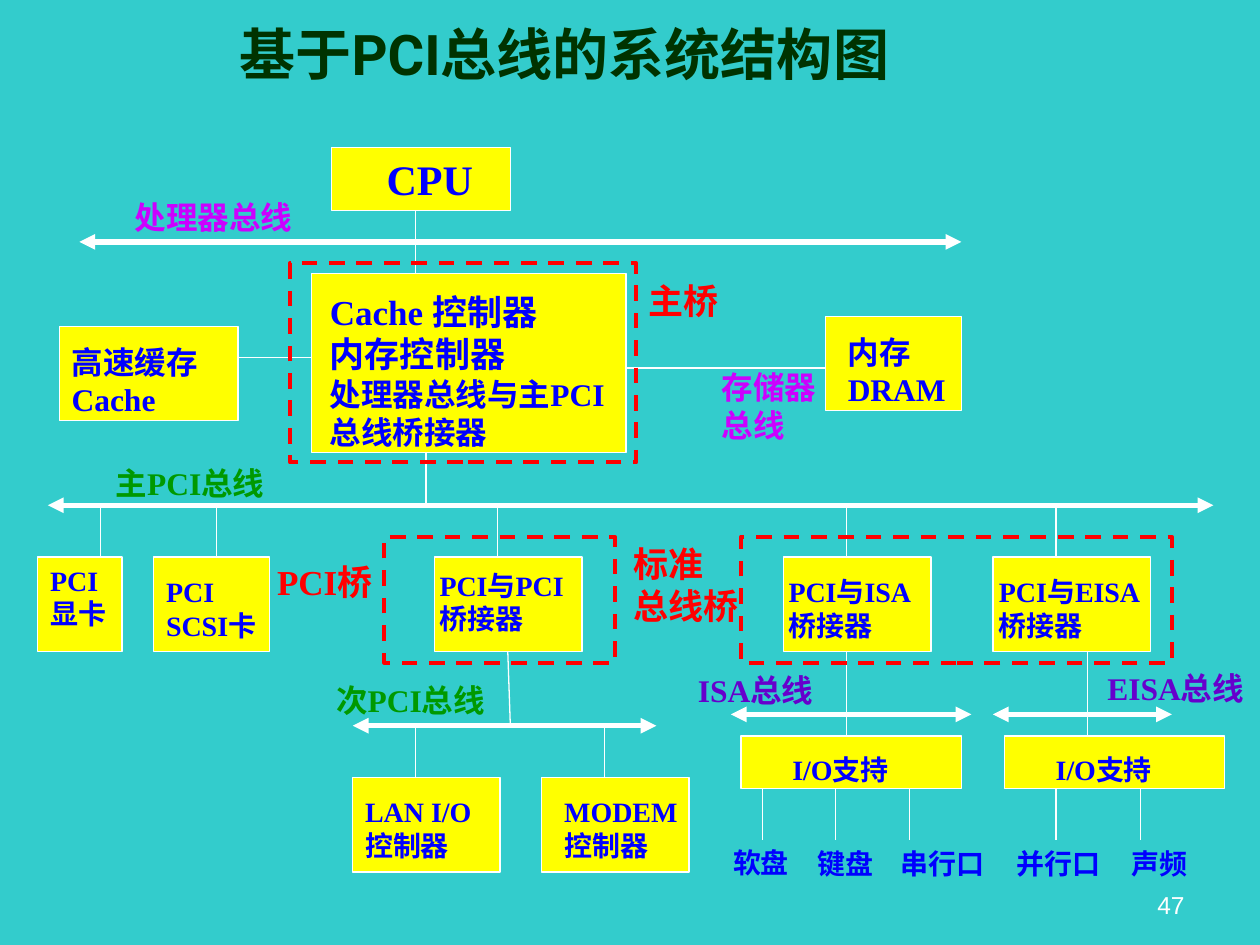
from dataclasses import dataclass
from itertools import cycle

from pptx import Presentation
from pptx.dml.color import RGBColor
from pptx.enum.dml import MSO_LINE_DASH_STYLE as Dash
from pptx.enum.shapes import MSO_CONNECTOR as Connector, MSO_SHAPE as Shape
from pptx.enum.text import MSO_ANCHOR as Anchor, MSO_AUTO_SIZE as AutoSize, PP_ALIGN as Align
from pptx.oxml.ns import qn
from pptx.util import Inches, Pt

WHITE, YELLOW, RED, BLUE = "FFFFFF", "FFFF00", "FF0000", "0000FF"
MAGENTA, GREEN, PURPLE, DARK_GREEN = "CC00FF", "009900", "6600CC", "003300"
TEAL = "33CCCC"
SERIF = "Times New Roman"
PROCESSOR_BUS, PCI_BUS, SECOND_BUS, IO_BUS = 1.92, 4.01, 5.76, 5.67
CARD_TOP, CARD_BOTTOM = 4.42, 5.17
IO_TOP, IO_BOTTOM = 5.84, 6.26


@dataclass
class Box:
    x: float
    y: float
    w: float
    h: float


@dataclass
class Label:
    x: float
    y: float
    w: float
    text: str
    sizes: tuple[int, ...] = (16,)
    color: str = BLUE

    @property
    def height(self) -> float:
        lines = self.text.split("\n")
        return 0.1 + sum(1.2 * size / 72 for _, size in zip(lines, cycle(self.sizes)))


@dataclass
class Line:
    x1: float
    y1: float
    x2: float
    y2: float


def rgb(value: str) -> RGBColor:
    return RGBColor.from_string(value)


def style_run(r, size: int, color: str, name: str, bold: bool = True) -> None:
    r.font.size, r.font.name, r.font.bold = Pt(size), name, bold
    r.font.color.rgb = rgb(color)


def draw_box(shapes, box: Box, dashed: bool = False) -> None:
    sp = shapes.add_shape(Shape.RECTANGLE, *map(Inches, (box.x, box.y, box.w, box.h)))
    sp.shadow.inherit = False
    sp.line.color.rgb = rgb(RED if dashed else WHITE)
    sp.line.width = Pt(2.25 if dashed else 0.75)
    if dashed:
        sp.fill.background()
        sp.line.dash_style = Dash.DASH
    else:
        sp.fill.solid()
        sp.fill.fore_color.rgb = rgb(YELLOW)


def draw_label(shapes, label: Label) -> None:
    sp = shapes.add_textbox(*map(Inches, (label.x, label.y, label.w, label.height)))
    tf = sp.text_frame
    tf.text = label.text
    tf.word_wrap, tf.auto_size = True, AutoSize.NONE
    tf.margin_right = 0  # spare room so that no line breaks early
    for p, size in zip(tf.paragraphs, cycle(label.sizes)):
        style_run(p.runs[0], size, label.color, SERIF)


def draw_line(shapes, line: Line, bus: bool = False) -> None:
    ends = map(Inches, (line.x1, line.y1, line.x2, line.y2))
    cx = shapes.add_connector(Connector.STRAIGHT, *ends)
    cx.line.color.rgb = rgb(WHITE)
    cx.line.width = Pt(3 if bus else 0.75)
    properties = cx._element.spPr
    if bus:
        ln = cx.line._get_or_add_ln()
        for tag in ("a:headEnd", "a:tailEnd"):
            ln.append(ln.makeelement(qn(tag), {"type": "triangle"}))
    properties.append(properties.makeelement(qn("a:effectLst"), {}))


def drops(xs: tuple[float, ...], top: float, bottom: float) -> list[Line]:
    return [Line(x, top, x, bottom) for x in xs]


BUSES = [
    Line(7.63, PROCESSOR_BUS, 0.63, PROCESSOR_BUS),
    Line(9.63, PCI_BUS, 0.38, PCI_BUS),
    Line(5.21, SECOND_BUS, 2.8, SECOND_BUS),
    Line(7.71, IO_BUS, 5.8, IO_BUS),
    Line(9.3, IO_BUS, 7.88, IO_BUS),
]

LINKS = [
    *drops((3.3,), 1.67, 2.17),
    Line(2.47, 2.84, 1.88, 2.84),
    Line(6.55, 2.92, 4.96, 2.92),
    *drops((3.38,), 3.59, 4),
    *drops((0.8, 1.72, 3.95, 6.72, 8.38), PCI_BUS, CARD_TOP),
    Line(4.03, CARD_BOTTOM, 4.05, 5.75),
    *drops((3.3, 4.8), SECOND_BUS, 6.17),
    *drops((6.72, 8.63), CARD_BOTTOM, IO_TOP),
    *drops((6.05, 6.63, 7.22, 8.38, 9.05), IO_BOTTOM, 6.67),
]

# Each yellow block with the text that sits on it
BLOCKS = [
    (Box(2.63, 1.17, 1.42, 0.5), Label(2.97, 1.17, 0.88, "CPU", (24,))),
    (Box(2.47, 2.17, 2.5, 1.42),
     Label(2.52, 2.26, 2.44, "Cache 控制器\n内存控制器\n处理器总线与主PCI\n总线桥接器",
           (20, 20, 18, 18))),
    (Box(0.47, 2.59, 1.42, 0.75), Label(0.47, 2.67, 1.2, "高速缓存\nCache", (18,))),
    (Box(6.55, 2.51, 1.08, 0.75), Label(6.63, 2.59, 0.98, "内存\nDRAM", (18,))),
    (Box(0.3, CARD_TOP, 0.67, 0.75), Label(0.3, 4.42, 0.67, "PCI\n显卡")),
    (Box(1.22, CARD_TOP, 0.92, 0.75), Label(1.22, 4.51, 1.17, "PCI\nSCSI卡")),
    (Box(3.45, CARD_TOP, 1.17, 0.75), Label(3.39, 4.46, 1.29, "PCI与PCI\n桥接器")),
    (Box(6.22, CARD_TOP, 1.17, 0.75), Label(6.16, 4.51, 1.28, "PCI与ISA\n桥接器")),
    (Box(7.88, CARD_TOP, 1.25, 0.75), Label(7.83, 4.51, 1.42, "PCI与EISA\n桥接器")),
    (Box(2.8, 6.17, 1.17, 0.75), Label(2.8, 6.26, 1.04, "LAN I/O\n控制器")),
    (Box(4.3, 6.17, 1.17, 0.75), Label(4.38, 6.26, 1.1, "MODEM\n控制器")),
    (Box(5.88, IO_TOP, 1.75, 0.42), Label(6.19, 5.92, 1.01, "I/O支持")),
    (Box(7.97, IO_TOP, 1.75, 0.42), Label(8.28, 5.92, 1.01, "I/O支持")),
]

LABELS = [
    # Devices
    Label(5.72, 6.66, 0.64, "软盘"),
    Label(6.39, 6.67, 0.64, "键盘"),
    Label(7.05, 6.67, 0.86, "串行口"),
    Label(7.97, 6.67, 0.86, "并行口"),
    Label(8.88, 6.67, 0.64, "声频"),
    # Buses
    Label(0.97, 1.52, 1.45, "处理器总线", (18,), MAGENTA),
    Label(5.63, 2.87, 0.95, "存储器\n总线", (18,), MAGENTA),
    Label(0.82, 3.63, 1.5, "主PCI总线", (18,), GREEN),
    Label(2.57, 5.36, 1.5, "次PCI总线", (18,), GREEN),
    Label(5.44, 5.28, 1.17, "ISA总线", (18,), PURPLE),
    Label(8.69, 5.26, 1.34, "EISA总线", (18,), PURPLE),
    # Bridges
    Label(4.93, 4.26, 1.03, "标准\n总线桥", (20,), RED),
    Label(2.1, 4.4, 1.02, "PCI桥", (20,), RED),
    Label(5.05, 2.17, 0.75, "主桥", (20,), RED),
]

BRIDGE_FRAMES = [Box(5.88, 4.26, 3.42, 1), Box(3.05, 4.26, 1.83, 1), Box(2.3, 2.09, 2.75, 1.58)]


def main() -> None:
    prs = Presentation()
    prs.slide_width, prs.slide_height = Inches(10), Inches(7.5)
    s = prs.slides.add_slide(prs.slide_layouts[5])
    s.background.fill.solid()
    s.background.fill.fore_color.rgb = rgb(TEAL)

    # Title
    title = s.shapes.title
    title.left, title.top, title.width, title.height = map(Inches, (1.8, 0, 5.81, 0.84))
    tf = title.text_frame
    tf.text = "基于PCI总线的系统结构图"
    tf.vertical_anchor, tf.auto_size = Anchor.MIDDLE, AutoSize.NONE
    p = tf.paragraphs[0]
    p.alignment = Align.LEFT
    style_run(p.runs[0], 32, DARK_GREEN, "Roboto")

    # Diagram
    for line in BUSES:
        draw_line(s.shapes, line, bus=True)
    for line in LINKS:
        draw_line(s.shapes, line)
    for box, label in BLOCKS:
        draw_box(s.shapes, box)
        draw_label(s.shapes, label)
    for frame in BRIDGE_FRAMES:
        draw_box(s.shapes, frame, dashed=True)
    for label in LABELS:
        draw_label(s.shapes, label)

    # Page number
    number = s.shapes.add_textbox(*map(Inches, (7.17, 6.83, 2.33, 0.52)))
    tf = number.text_frame
    tf.text = "47"
    tf.word_wrap, tf.vertical_anchor = True, Anchor.BOTTOM
    p = tf.paragraphs[0]
    p.alignment = Align.RIGHT
    style_run(p.runs[0], 14, WHITE, "Arial", bold=False)

    prs.save("out.pptx")


if __name__ == "__main__":
    main()
